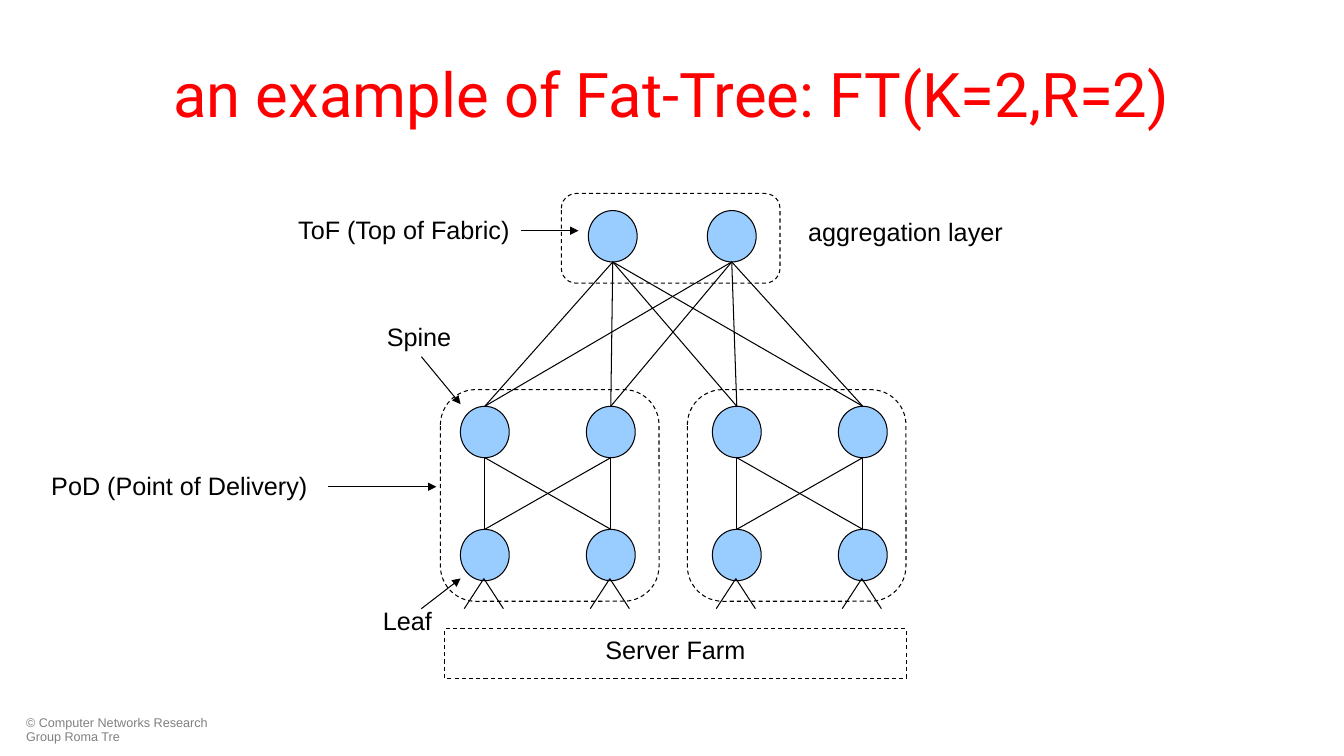
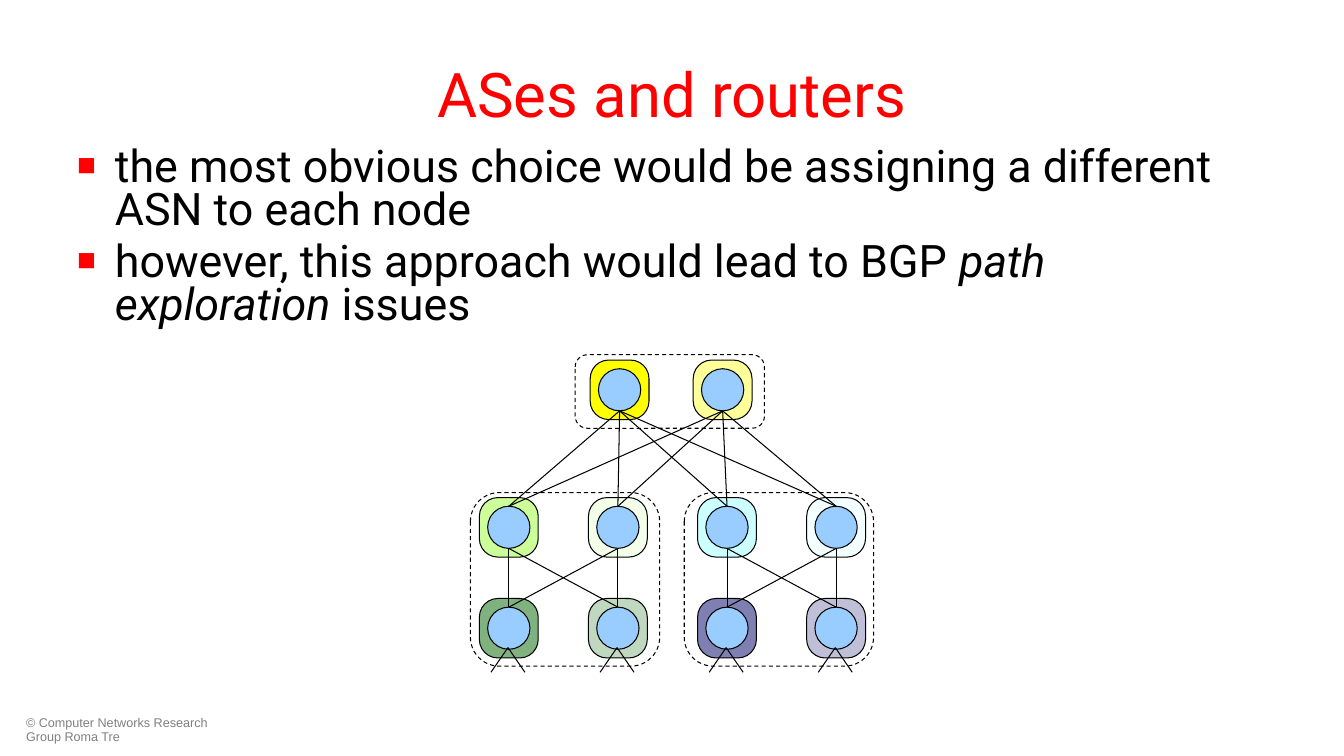
from dataclasses import dataclass
from itertools import product

from lxml.etree import SubElement
from pptx import Presentation
from pptx.dml.color import RGBColor
from pptx.enum.dml import MSO_LINE
from pptx.enum.shapes import MSO_CONNECTOR, MSO_SHAPE
from pptx.enum.text import MSO_ANCHOR, PP_ALIGN
from pptx.oxml.ns import qn
from pptx.util import Pt


@dataclass(frozen=True)
class Theme:
    title_color: str = "FF0000"
    text_color: str = "000000"
    footer_color: str = "808080"
    node_color: str = "99CCFF"
    line_color: str = "000000"
    title_font: str = "Roboto"
    label_font: str = "Arial"
    title_size: float = 44
    body_size: float = 32
    label_size: float = 18
    footer_size: float = 9
    line_width: float = 0.75


@dataclass(frozen=True)
class Box:
    left: float
    top: float
    width: float
    height: float

    def lengths(self):
        return [Pt(value) for value in (self.left, self.top, self.width, self.height)]


THEME = Theme()
TITLE_BOX = Box(48, 21.6, 864, 90)
FOOTER_BOX = Box(11.5, 508.3, 166.3, 26)
FOOTER = "© Computer Networks Research Group Roma Tre"

TREE_WIDTH = 332.6
GROUP_WIDTH = 156.2
TOF_LEFT, TOF_HEIGHT = 86.4, 64.1
POD_LEFTS, POD_HEIGHT = (0, 176.4), 151.2
TOF_COLUMNS = (123.1, 208.1)
POD_COLUMNS = [31.7 + 90 * column for column in range(4)]
NODE_WIDTH, NODE_HEIGHT = 34.9, 36.7
TOF_TOP, SPINE_TOP, LEAF_TOP = 12.2, 11.9, 99.8
STUB_TOP, STUB_BOTTOM, STUB_REACH = 135, 156.5, 14
HALO_WIDTH, HALO_HEIGHT, HALO_CORNER = 42, 42.5, 0.315

AS_COLORS = {
    "tof": [("FFFF00", 100), ("FFFF99", 100)],
    "spine": [("CCFF99", 100), ("CCFF99", 20), ("CCFFFF", 100), ("CCFFFF", 20)],
    "leaf": [("006600", 50), ("006600", 25), ("000066", 50), ("000066", 25)],
}

LABELS = [
    ("ToF (Top of Fabric)", Box(-108.7, 11.5, 193, 35)),
    ("aggregation layer", Box(255.6, 13, 177, 35)),
    ("Spine", Box(-45.4, 87.8, 72, 29)),
    ("PoD (Point of Delivery)", Box(-285.1, 194.4, 250, 35)),
    ("Leaf", Box(-48.2, 290.9, 60, 29)),
]
ARROWS = [
    ((57.6, 26.6), (98.6, 26.6)),
    ((-13.6, 116.6), (14.4, 150.5)),
    ((-80.6, 209.5), (-2.9, 209.5)),
    ((-13.6, 296.6), (14.4, 275)),
]
SERVER_FARM = Box(2.9, 311, 329.8, 35.3)

BODY = [
    [("the most obvious choice would be assigning a different ASN to each node", False)],
    [
        ("however, this approach would lead to BGP ", False),
        ("path exploration", True),
        (" issues", False),
    ],
]


def apply_format(target, values):
    for name, value in values.items():
        setattr(target, name, value)


def add_run(paragraph, text, font, size, color, italic=False):
    run = paragraph.add_run()
    run.text = text
    apply_format(run.font, {"name": font, "size": Pt(size), "italic": italic})
    run.font.color.rgb = RGBColor.from_string(color)


def add_text_frame(slide, box, anchor=MSO_ANCHOR.TOP):
    frame = slide.shapes.add_textbox(*box.lengths()).text_frame
    apply_format(frame, {"word_wrap": True, "vertical_anchor": anchor})
    return frame


def add_label(slide, box, text):
    paragraph = add_text_frame(slide, box).paragraphs[0]
    add_run(paragraph, text, THEME.label_font, THEME.label_size, THEME.text_color)


def add_outlined(slide, preset, box, fill=None, alpha=100, dashed=False):
    shape = slide.shapes.add_shape(preset, *box.lengths())
    shape.shadow.inherit = False
    shape.line.color.rgb = RGBColor.from_string(THEME.line_color)
    shape.line.width = Pt(THEME.line_width)
    if dashed:
        shape.line.dash_style = MSO_LINE.DASH
    if fill is None:
        shape.fill.background()
        return shape
    shape.fill.solid()
    shape.fill.fore_color.rgb = RGBColor.from_string(fill)
    if alpha < 100:
        color = shape._element.spPr.find(qn("a:solidFill")).find(qn("a:srgbClr"))
        SubElement(color, qn("a:alpha"), val=str(alpha * 1000))
    return shape


def add_line(slide, start, end, arrow=False):
    connector = slide.shapes.add_connector(
        MSO_CONNECTOR.STRAIGHT, *[Pt(value) for value in (*start, *end)]
    )
    connector.line.color.rgb = RGBColor.from_string(THEME.line_color)
    connector.line.width = Pt(THEME.line_width)
    properties = connector._element.spPr
    if arrow:
        SubElement(properties.find(qn("a:ln")), qn("a:tailEnd"), type="triangle")
    SubElement(properties, qn("a:effectLst"))


def add_frame(presentation, title):
    slide = presentation.slides.add_slide(presentation.slide_layouts[6])
    footer = add_text_frame(slide, FOOTER_BOX).paragraphs[0]
    footer.line_spacing = 0.9
    add_run(footer, FOOTER, THEME.label_font, THEME.footer_size, THEME.footer_color)
    heading = add_text_frame(slide, TITLE_BOX, MSO_ANCHOR.MIDDLE).paragraphs[0]
    heading.alignment = PP_ALIGN.CENTER
    add_run(heading, title, THEME.title_font, THEME.title_size, THEME.title_color)
    return slide


def add_fat_tree(slide, box, row_scale=1.0, halos=None):
    column_scale = box.width / TREE_WIDTH
    pod_top = box.top + box.height - STUB_BOTTOM * row_scale
    node_width, node_height = NODE_WIDTH * column_scale, NODE_HEIGHT * row_scale

    def across(value):
        return box.left + value * column_scale

    def centred(x, y, width, height):
        return Box(x - width / 2, y - height / 2, width, height)

    rows = {
        "tof": (TOF_COLUMNS, box.top + TOF_TOP * row_scale),
        "spine": (POD_COLUMNS, pod_top + SPINE_TOP * row_scale),
        "leaf": (POD_COLUMNS, pod_top + LEAF_TOP * row_scale),
    }
    tops, bottoms = {}, {}
    for name, (columns, top) in rows.items():
        centers = [across(column) for column in columns]
        tops[name] = [(x, top) for x in centers]
        bottoms[name] = [(x, top + node_height) for x in centers]
        for index, x in enumerate(centers):
            middle = top + node_height / 2
            if halos:
                halo_box = centred(x, middle, HALO_WIDTH, HALO_HEIGHT)
                halo = add_outlined(
                    slide, MSO_SHAPE.ROUNDED_RECTANGLE, halo_box, *halos[name][index]
                )
                halo.adjustments[0] = HALO_CORNER
            node_box = centred(x, middle, node_width, node_height)
            add_outlined(slide, MSO_SHAPE.OVAL, node_box, THEME.node_color)

    links = list(product(bottoms["tof"], tops["spine"]))
    for pod in (slice(0, 2), slice(2, 4)):
        links += product(bottoms["spine"][pod], tops["leaf"][pod])
    for column, side in product(POD_COLUMNS, (-1, 1)):
        start = (across(column - 0.7), pod_top + STUB_TOP * row_scale)
        end = (across(column - 0.7 + side * STUB_REACH), box.top + box.height)
        links.append((start, end))
    for start, end in links:
        add_line(slide, start, end)

    groups = [(TOF_LEFT, box.top, TOF_HEIGHT)]
    groups += [(left, pod_top, POD_HEIGHT) for left in POD_LEFTS]
    for left, top, height in groups:
        group_box = Box(across(left), top, GROUP_WIDTH * column_scale, height * row_scale)
        add_outlined(slide, MSO_SHAPE.ROUNDED_RECTANGLE, group_box, dashed=True)


def add_annotations(slide, box):
    def moved(part):
        return Box(box.left + part.left, box.top + part.top, part.width, part.height)

    for text, label_box in LABELS:
        add_label(slide, moved(label_box), text)
    for ends in ARROWS:
        start, end = [(box.left + x, box.top + y) for x, y in ends]
        add_line(slide, start, end, arrow=True)
    farm = add_outlined(slide, MSO_SHAPE.RECTANGLE, moved(SERVER_FARM), dashed=True)
    farm.text_frame.vertical_anchor = MSO_ANCHOR.TOP
    paragraph = farm.text_frame.paragraphs[0]
    paragraph.alignment = PP_ALIGN.CENTER
    add_run(paragraph, "Server Farm", THEME.label_font, THEME.label_size, THEME.text_color)


def add_bullets(slide, box, items):
    frame = add_text_frame(slide, box)
    for index, runs in enumerate(items):
        paragraph = frame.add_paragraph() if index else frame.paragraphs[0]
        properties = paragraph._p.get_or_add_pPr()
        properties.set("marL", str(Pt(27)))
        properties.set("indent", str(-Pt(27)))
        color = SubElement(properties, qn("a:buClr"))
        SubElement(color, qn("a:srgbClr"), val=THEME.title_color)
        SubElement(properties, qn("a:buSzPct"), val="70000")
        SubElement(properties, qn("a:buFont"), typeface=THEME.label_font)
        SubElement(properties, qn("a:buChar"), char="■")
        paragraph.line_spacing = 0.8
        if index:
            paragraph.space_before = Pt(THEME.body_size * 0.2)
        for text, italic in runs:
            add_run(
                paragraph, text, THEME.title_font, THEME.body_size, THEME.text_color, italic
            )


def build_example_slide(presentation):
    slide = add_frame(presentation, "an example of Fat-Tree: FT(K=2,R=2)")
    tree_box = Box(314.6, 138.2, TREE_WIDTH, 296.6)
    add_fat_tree(slide, tree_box)
    add_annotations(slide, tree_box)


def build_routers_slide(presentation):
    slide = add_frame(presentation, "ASes and routers")
    add_bullets(slide, Box(48, 102.2, 864, 126), BODY)
    add_fat_tree(slide, Box(336, 253.4, 288, 226.8), row_scale=0.82, halos=AS_COLORS)


def main():
    presentation = Presentation()
    apply_format(presentation, {"slide_width": Pt(960), "slide_height": Pt(540)})
    build_example_slide(presentation)
    build_routers_slide(presentation)
    presentation.save("out.pptx")


if __name__ == "__main__":
    main()
